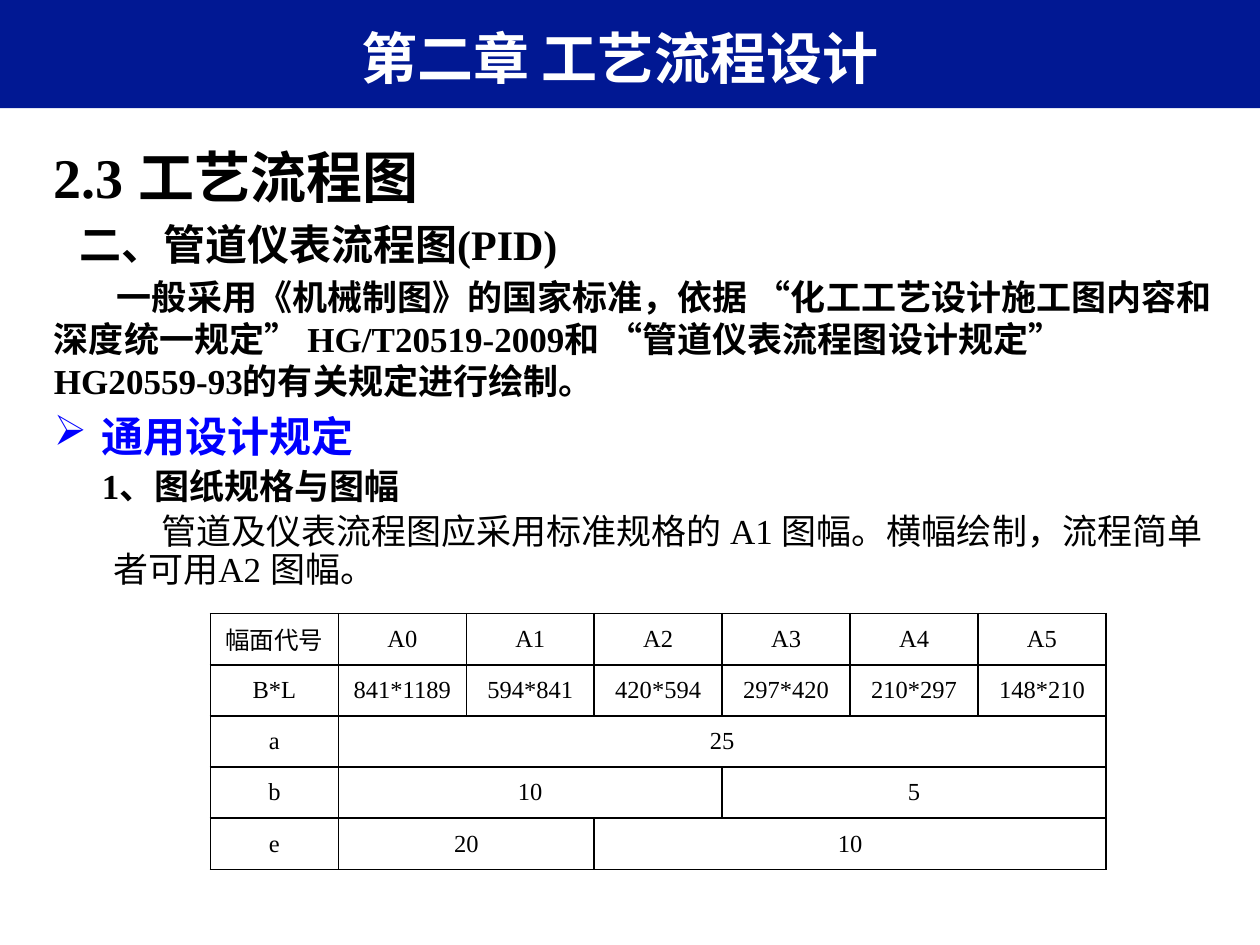
from dataclasses import dataclass

import pptx
import pptx.dml.color
import pptx.enum.shapes
import pptx.enum.text
import pptx.oxml.ns
import pptx.util
from lxml import etree

Inches = pptx.util.Inches
Pt = pptx.util.Pt
qn = pptx.oxml.ns.qn
ALIGN = pptx.enum.text.PP_ALIGN
ANCHOR = pptx.enum.text.MSO_ANCHOR

COLORS = {"navy": "011893", "white": "FFFFFF", "black": "000000", "blue": "0000FF"}
LATIN, ASIAN = "Times New Roman", "Noto Sans CJK SC"


@dataclass
class Para:
    text: str
    size: int
    left: float = 0
    indent: float = 0
    before: float = 0
    line: float = 1
    bold: bool = True
    color: str = "black"
    bullet: str = ""


@dataclass
class Cell:
    text: str
    span: int = 1


BODY = [
    Para("2.3 工艺流程图", 32),
    Para("二、管道仪表流程图(PID)", 24, left=0.2, before=5),
    Para("一般采用《机械制图》的国家标准，依据 “化工工艺设计施工图内容和深度统一规定” "
         "HG/T20519-2009和 “管道仪表流程图设计规定” HG20559-93的有关规定进行绘制。",
         20, indent=0.5, before=4),
    Para("通用设计规定", 24, left=0.38, indent=-0.38, before=5, color="blue", bullet="➢"),
    Para("1、图纸规格与图幅", 20, left=0.38, before=5, line=0.9),
    Para("管道及仪表流程图应采用标准规格的 A1 图幅。横幅绘制，流程简单者可用A2 图幅。",
         20, left=0.47, indent=0.38, before=4, line=0.9, bold=False),
]

ROWS = [
    [Cell(t) for t in ("幅面代号", "A0", "A1", "A2", "A3", "A4", "A5")],
    [Cell(t) for t in ("B*L", "841*1189", "594*841", "420*594",
                       "297*420", "210*297", "148*210")],
    [Cell("a"), Cell("25", 6)],
    [Cell("b"), Cell("10", 3), Cell("5", 3)],
    [Cell("e"), Cell("20", 2), Cell("10", 4)],
]


def rgb(name: str) -> pptx.dml.color.RGBColor:
    return pptx.dml.color.RGBColor.from_string(COLORS[name])


def style(para, size: int, color: str = "black", bold: bool = False,
          face: str = LATIN) -> None:
    font = para.font
    font.size, font.bold, font.name = Pt(size), bold, face
    font.color.rgb = rgb(color)
    props = para._p.pPr.find(qn("a:defRPr"))
    etree.SubElement(props, qn("a:ea")).set("typeface", ASIAN)


def write(para, item: Para) -> None:
    para.text = item.text
    para.line_spacing = item.line
    para.space_before = Pt(item.before)
    props = para._p.get_or_add_pPr()
    props.set("marL", str(Inches(item.left)))
    props.set("indent", str(Inches(item.indent)))
    if item.bullet:
        etree.SubElement(props, qn("a:buChar")).set("char", item.bullet)
    style(para, item.size, item.color, item.bold)


def border(cell) -> None:
    props = cell._tc.get_or_add_tcPr()
    for side in ("lnL", "lnR", "lnT", "lnB"):
        line = etree.SubElement(props, qn(f"a:{side}"), w=str(Pt(1)))
        fill = etree.SubElement(line, qn("a:solidFill"))
        etree.SubElement(fill, qn("a:srgbClr"), val=COLORS["black"])
    cell.fill.background()


def draw_table(slide) -> None:
    count = len(ROWS[0])
    frame = slide.shapes.add_table(len(ROWS), count, Inches(1.67), Inches(4.87),
                                   Inches(7.11), Inches(2.03))
    table = frame.table
    table.first_row = table.horz_banding = False
    for cell in table.iter_cells():
        border(cell)
    for row, items in enumerate(ROWS):
        col = 0
        for item in items:
            cell = table.cell(row, col)
            if item.span > 1:
                cell.merge(table.cell(row, col + item.span - 1))
            cell.text = item.text
            cell.vertical_anchor = ANCHOR.MIDDLE
            para = cell.text_frame.paragraphs[0]
            para.alignment = ALIGN.CENTER
            style(para, 14)
            col += item.span


def main() -> None:
    deck = pptx.Presentation()
    deck.slide_width, deck.slide_height = Inches(10), Inches(7.5)
    slide = deck.slides.add_slide(deck.slide_layouts[5])

    # Header band, behind the title
    band = slide.shapes.add_shape(pptx.enum.shapes.MSO_SHAPE.RECTANGLE,
                                  0, 0, Inches(10), Inches(0.86))
    band.shadow.inherit = False
    band.fill.solid()
    band.fill.fore_color.rgb = rgb("navy")
    band.line.fill.background()
    slide.shapes._spTree.insert(2, band._element)

    # Title
    title = slide.shapes.title
    title.left, title.top = Inches(0.39), Inches(0.13)
    title.width, title.height = Inches(9.06), Inches(0.64)
    title.text = "第二章 工艺流程设计"
    title.text_frame.vertical_anchor = ANCHOR.MIDDLE
    head = title.text_frame.paragraphs[0]
    head.alignment = ALIGN.CENTER
    style(head, 32, "white", True, ASIAN)

    # Body text
    box = slide.shapes.add_textbox(Inches(0.33), Inches(1.08), Inches(9.42), Inches(5.92))
    frame = box.text_frame
    frame.word_wrap = True
    for num, item in enumerate(BODY):
        write(frame.add_paragraph() if num else frame.paragraphs[0], item)

    # Sheet sizes
    draw_table(slide)
    deck.save("out.pptx")


if __name__ == "__main__":
    main()
